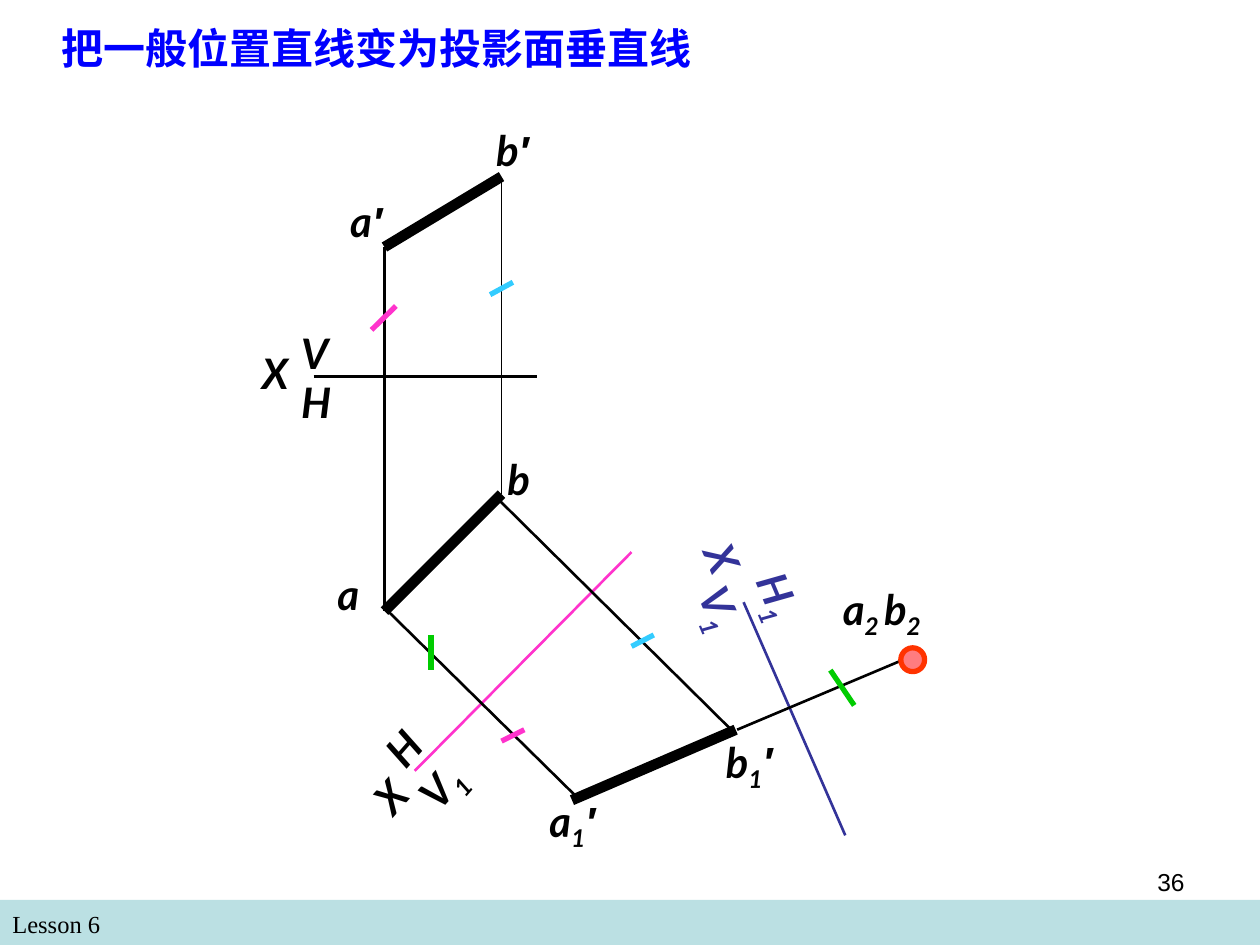
"""Draw the descriptive geometry slide that turns a general line into a perpendicular one."""
from typing import NamedTuple

from lxml import etree
from pptx import Presentation, util as u
from pptx.dml.color import RGBColor
from pptx.enum import shapes, text
from pptx.oxml.ns import qn

BLACK, NAVY, PINK, CYAN, GREEN = "000000", "333399", "FF33CC", "33CCFF", "00CC00"
THIN, NORMAL, TICK, THICK = 0.75, 1.5, 3, 6
FIRST_TURN, SECOND_TURN, SLIGHT_TURN = 311.3, 67.1, 359.4
A_FRONT, B_FRONT = (7.75, 4.98), (10.11, 3.56)
A_TOP, B_TOP = (7.75, 12.32), (10.11, 9.96)


class Segment(NamedTuple):
    start: tuple[float, float]
    end: tuple[float, float]
    colour: str = BLACK
    width: float = NORMAL


class Label(NamedTuple):
    symbols: tuple[str, ...]
    left: float
    top: float
    width: float
    rotation: float = 0
    colour: str = BLACK


class Caption(NamedTuple):
    wording: str
    box: tuple[float, float, float, float]
    size: float
    font: str
    colour: str = BLACK
    bold: bool = False
    wrap: bool = True
    alignment: text.PP_ALIGN = text.PP_ALIGN.LEFT


SEGMENTS = [
    Segment((14.99, 12.14), (17.04, 16.84), NAVY),
    Segment(A_FRONT, A_TOP),
    Segment((6.32, 7.59), (10.82, 7.59)),
    Segment(A_FRONT, B_FRONT, width=THICK),
    Segment(A_TOP, B_TOP, width=THICK),
    Segment(B_TOP, B_FRONT, width=THIN),
    Segment((14.86, 14.71), (18.42, 13.21)),
    Segment((8.36, 15.54), (12.73, 11.13), PINK),
    Segment((7.72, 12.22), (11.61, 16.05)),
    Segment((10.06, 10.08), (14.76, 14.73)),
    Segment((14.83, 14.71), (11.53, 16.13), width=THICK),
]
TICKS = [
    Segment((10.57, 14.71), (10.11, 14.94), PINK, TICK),
    Segment((7.98, 6.17), (7.49, 6.65), PINK, TICK),
    Segment((9.88, 5.94), (10.34, 5.69), CYAN, TICK),
    Segment((12.73, 13.03), (13.18, 12.8), CYAN, TICK),
    Segment((8.69, 12.8), (8.69, 13.51), GREEN, TICK),
    Segment((16.74, 13.51), (17.22, 14.22), GREEN, TICK),
]
LABELS = [
    Label(("X",), 13.87, 10.9, 1.65, SECOND_TURN, NAVY),
    Label(("H", "1"), 14.78, 11.56, 1.91, SECOND_TURN, NAVY),
    Label(("V", "1"), 13.54, 11.96, 2.16, SECOND_TURN, NAVY),
    Label(("a", "′"), 6.81, 3.81, 1.98),
    Label(("a",), 6.55, 11.33, 2.26),
    Label(("X",), 5.03, 6.88, 1.65),
    Label(("V",), 5.82, 6.48, 1.19),
    Label(("H",), 5.82, 7.47, 1.42),
    Label(("b", "′"), 9.75, 2.39, 1.98),
    Label(("b",), 9.98, 9.02, 2.26),
    Label(("a", "2 ", "b", "2"), 16.74, 11.63, 3.33),
    Label(("X",), 7.24, 15.19, 1.65, FIRST_TURN),
    Label(("H",), 7.52, 14.33, 1.42, FIRST_TURN),
    Label(("V", "1"), 8.1, 14.81, 2.31, FIRST_TURN),
    Label(("a", "1", "′"), 10.82, 15.9, 2.36, SLIGHT_TURN),
    Label(("b", "1", "′"), 14.38, 14.71, 2.36, SLIGHT_TURN),
]
CAPTIONS = [
    Caption("Lesson 6", (0, 18.21, 12.27, 0.86), 14, "Times New Roman"),
    Caption("把一般位置直线变为投影面垂直线", (0.99, 0.33, 13.21, 1.27), 24, "Arial",
            "0000FF", bold=True, wrap=False),
    Caption("36", (18.21, 17.35, 5.92, 1.32), 14, "Arial", alignment=text.PP_ALIGN.RIGHT),
]


def paint(colour_format, colour: str) -> None:
    colour_format.rgb = RGBColor.from_string(colour)


def style_font(font, name: str, size: float, colour: str, bold: bool, italic: bool) -> None:
    font.name, font.size, font.bold, font.italic = name, u.Pt(size), bold, italic
    paint(font.color, colour)


def draw_segment(slide, segment: Segment) -> None:
    ends = [u.Cm(value) for value in segment.start + segment.end]
    connector = slide.shapes.add_connector(shapes.MSO_CONNECTOR.STRAIGHT, *ends)
    connector.line.width = u.Pt(segment.width)
    paint(connector.line.color, segment.colour)
    etree.SubElement(connector._element.spPr, qn("a:effectLst"))


def draw_label(slide, label: Label) -> None:
    has_subscript = any(symbol.strip().isdigit() for symbol in label.symbols)
    height = 1.42 if has_subscript else 1.27
    box = (label.left, label.top, label.width, height)
    shape = slide.shapes.add_textbox(*map(u.Cm, box))
    shape.rotation = label.rotation
    shape.text_frame.word_wrap = True
    paragraph = shape.text_frame.paragraphs[0]
    style_font(paragraph.font, "Lato", 24, label.colour, True, True)
    for symbol in label.symbols:
        run = paragraph.add_run()
        run.text = symbol
        if symbol.strip().isdigit():
            run.font._element.set("baseline", "-25000")
        elif symbol == "′":
            run.font.name = "Arial"


def draw_caption(slide, caption: Caption) -> None:
    shape = slide.shapes.add_textbox(*map(u.Cm, caption.box))
    shape.text_frame.word_wrap = caption.wrap
    paragraph = shape.text_frame.paragraphs[0]
    paragraph.text = caption.wording
    paragraph.alignment = caption.alignment
    style_font(paragraph.font, caption.font, caption.size, caption.colour, caption.bold, False)


def draw_filled(slide, kind: shapes.MSO_SHAPE, box: tuple[float, ...], fill: str,
                outline: str | None = None) -> None:
    shape = slide.shapes.add_shape(kind, *map(u.Cm, box))
    shape.shadow.inherit = False
    shape.fill.solid()
    paint(shape.fill.fore_color, fill)
    if outline:
        shape.line.width = u.Pt(3)
        paint(shape.line.color, outline)
    else:
        shape.line.fill.background()


def main() -> None:
    presentation = Presentation()
    presentation.slide_width, presentation.slide_height = u.Cm(25.4), u.Cm(19.05)
    slide = presentation.slides.add_slide(presentation.slide_layouts[6])
    draw_filled(slide, shapes.MSO_SHAPE.RECTANGLE, (0, 18.14, 25.4, 0.91), "BBE0E3")
    for segment in SEGMENTS:
        draw_segment(slide, segment)
    draw_filled(slide, shapes.MSO_SHAPE.OVAL, (18.16, 13.06, 0.48, 0.48), "FF7C80", "FF3300")
    for tick in TICKS:
        draw_segment(slide, tick)
    for label in LABELS:
        draw_label(slide, label)
    for caption in CAPTIONS:
        draw_caption(slide, caption)
    presentation.save("out.pptx")


if __name__ == "__main__":
    main()
